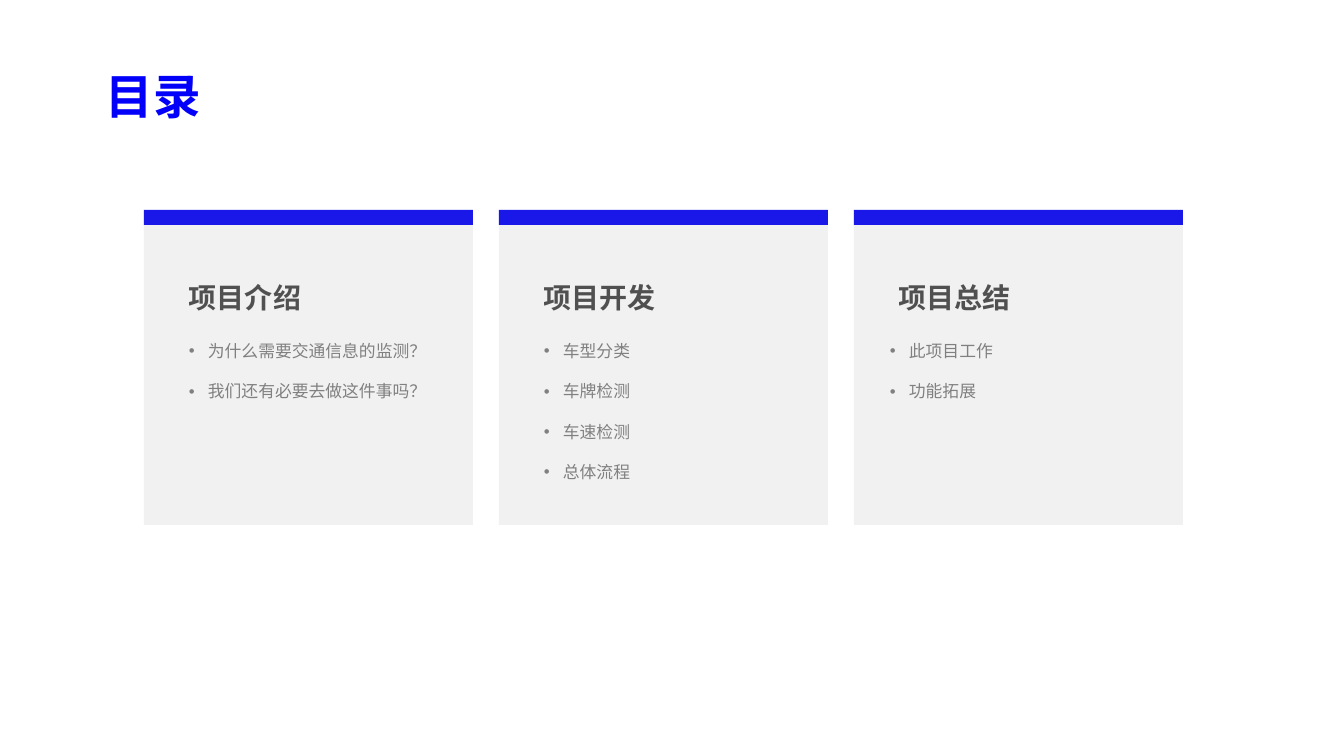
from dataclasses import dataclass

from lxml import etree
from pptx import Presentation
from pptx.dml.color import RGBColor
from pptx.enum.shapes import MSO_SHAPE
from pptx.enum.text import MSO_ANCHOR
from pptx.oxml.ns import qn
from pptx.util import Pt

RECTANGLE = MSO_SHAPE.RECTANGLE
TOP = MSO_ANCHOR.TOP
EMU_PER_INCH = 914400
PX_PER_INCH = 100.8


@dataclass(frozen=True)
class TextStyle:
    size: int
    color: str
    spacing: float
    bold: bool = False
    opacity: int = 100


@dataclass(frozen=True)
class Theme:
    font: str = "Noto Sans CJK SC"
    card: str = "D9D9D9"
    card_opacity: int = 35
    bar: str = "1918E8"
    title: TextStyle = TextStyle(34, "0300F9", 1.5, bold=True)
    heading: TextStyle = TextStyle(20, "0D0D0D", 1.3, bold=True, opacity=70)
    item: TextStyle = TextStyle(12, "808080", 1.3)
    item_gap: int = 10


THEME = Theme()

# Card grid, in px
CARD_LEFT, CARD_TOP, CARD_WIDTH, CARD_HEIGHT = 144, 210, 329, 315
CARD_PITCH = 355
BAR_HEIGHT = 15
HEADING_INDENT = 35
BULLET_INDENT = 19

# Heading, indent of the list within its card, list items
SECTIONS = [
    ("项目介绍", 35, ["为什么需要交通信息的监测？", "我们还有必要去做这件事吗？"]),
    ("项目开发", 35, ["车型分类", "车牌检测", "车速检测", "总体流程"]),
    ("项目总结", 26, ["此项目工作", "功能拓展"]),
]


def px(length):
    return round(length * EMU_PER_INCH / PX_PER_INCH)


def set_opacity(fill, percent):
    """Add an alpha value to the colour of a solid fill."""
    color = fill._xPr.find(qn("a:solidFill"))[0]
    etree.SubElement(color, qn("a:alpha"), val=str(percent * 1000))


def add_rectangle(slide, left, top, width, height, color, opacity=100):
    shape = slide.shapes.add_shape(
        RECTANGLE, px(left), px(top), px(width), px(height))
    shape.shadow.inherit = False
    shape.line.fill.background()
    shape.fill.solid()
    shape.fill.fore_color.rgb = RGBColor.from_string(color)
    if opacity < 100:
        set_opacity(shape.fill, opacity)


def add_bullet(para):
    properties = para._p.get_or_add_pPr()
    properties.set("marL", str(px(BULLET_INDENT)))
    properties.set("indent", str(-px(BULLET_INDENT)))
    etree.SubElement(properties, qn("a:buFont"), typeface="Arial")
    etree.SubElement(properties, qn("a:buChar"), char="•")


def add_span(para, text, style):
    span = para.add_run()
    span.text = text
    span.font.size = Pt(style.size)
    span.font.bold = style.bold
    span.font.name = THEME.font
    span.font.color.rgb = RGBColor.from_string(style.color)
    if style.opacity < 100:
        set_opacity(span.font.fill, style.opacity)
    etree.SubElement(span.font._element, qn("a:ea"), typeface=THEME.font)


def add_text(slide, left, top, width, height, lines, style, bullets=False):
    box = slide.shapes.add_textbox(px(left), px(top), px(width), px(height))
    frame = box.text_frame
    frame.word_wrap = True
    frame.vertical_anchor = TOP
    for index, line in enumerate(lines):
        para = frame.add_paragraph() if index else frame.paragraphs[0]
        if bullets:
            add_bullet(para)
        para.line_spacing = style.spacing
        if index:
            para.space_before = Pt(THEME.item_gap)
        add_span(para, line, style)


def add_card(slide, left, heading, list_indent, items):
    add_rectangle(slide, left, CARD_TOP, CARD_WIDTH, CARD_HEIGHT,
                  THEME.card, THEME.card_opacity)
    add_rectangle(slide, left, CARD_TOP, CARD_WIDTH, BAR_HEIGHT, THEME.bar)
    add_text(slide, left + HEADING_INDENT, 265, 150, 54, [heading],
             THEME.heading)
    add_text(slide, left + list_indent, 330, 256, 40 * len(items) - 3, items,
             THEME.item, bullets=True)


def main():
    deck = Presentation()
    deck.slide_width, deck.slide_height = px(1344), px(756)
    page = deck.slides.add_slide(deck.slide_layouts[6])

    # Title
    add_text(page, 96, 33, 967, 91, ["目录"], THEME.title)

    # One card per section
    for column, (heading, list_indent, items) in enumerate(SECTIONS):
        add_card(page, CARD_LEFT + column * CARD_PITCH,
                 heading, list_indent, items)

    deck.save("out.pptx")


if __name__ == "__main__":
    main()
